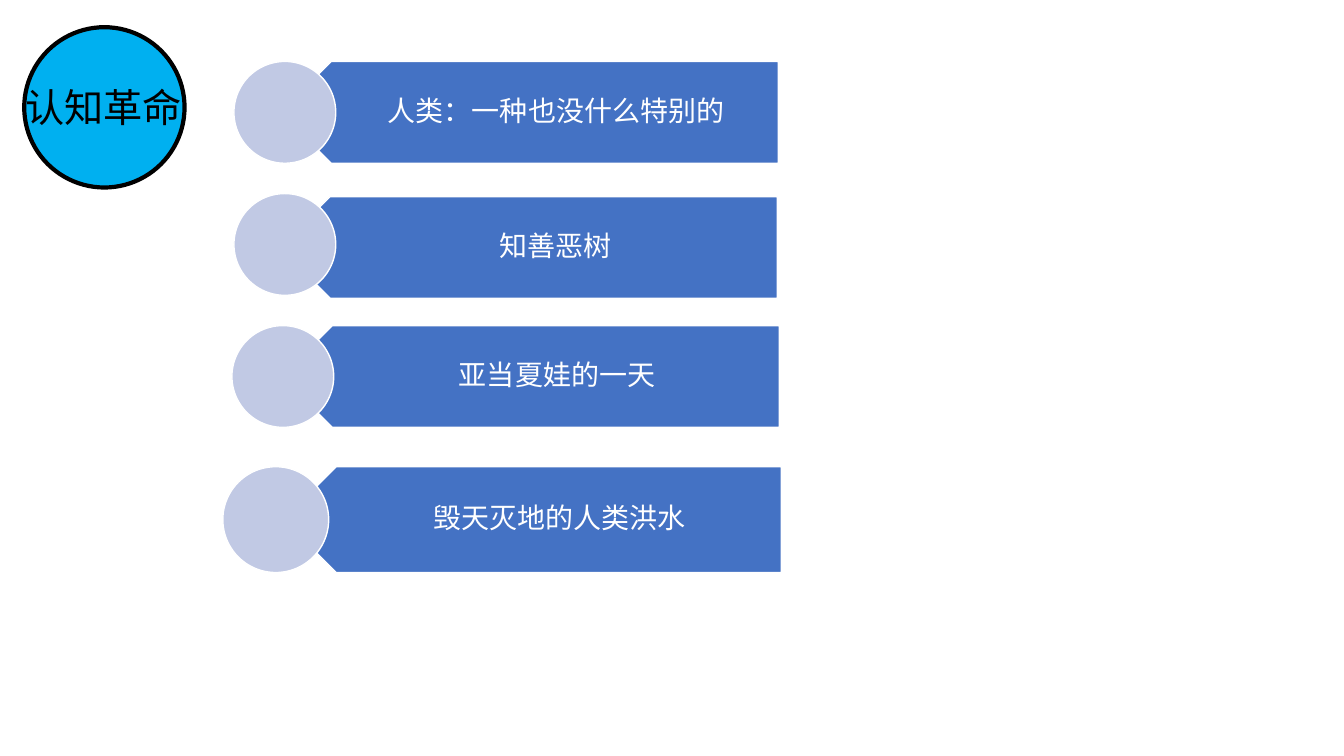
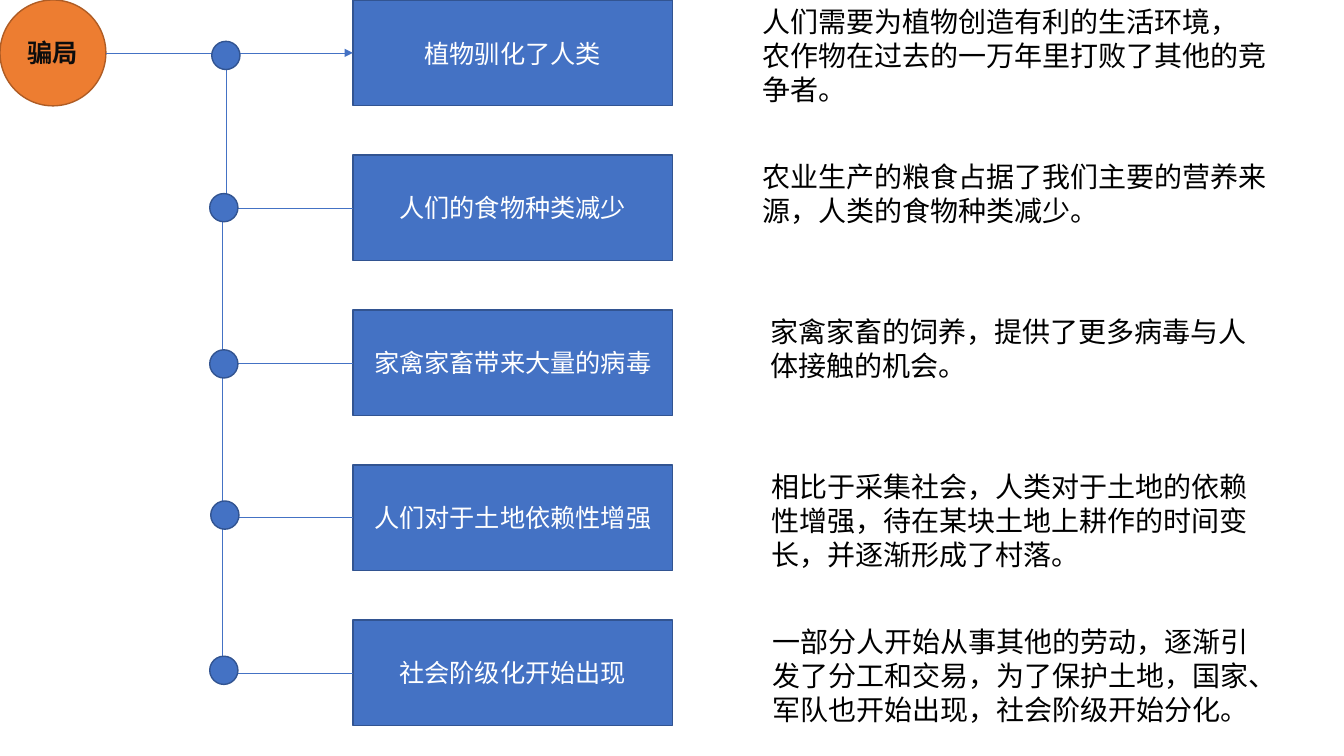
import pptx
import pptx.util
import pptx.dml.color
import pptx.enum.shapes
import pptx.enum.text
import pptx.oxml
import pptx.oxml.ns

Inches = pptx.util.Inches
SHAPE = pptx.enum.shapes.MSO_SHAPE
CONNECTOR = pptx.enum.shapes.MSO_CONNECTOR
ALIGN = pptx.enum.text.PP_ALIGN
ANCHOR = pptx.enum.text.MSO_ANCHOR

FONT = "Noto Sans CJK SC"
BLUE, DARK_BLUE, PALE_BLUE, SKY = "4472C4", "325491", "C1C9E4", "00B0F0"
ORANGE, BROWN = "ED7D31", "AF5C24"
WHITE, BLACK, NEAR_BLACK = "FFFFFF", "000000", "0D0D0D"

CHAPTER = "认知革命"
# label, banner left, banner top, disc left, disc top, height
SECTIONS = [
    ("人类：一种也没什么特别的", 2.78, 0.61, 2.32, 0.61, 1.01),
    ("知善恶树", 2.77, 1.95, 2.32, 1.92, 1.01),
    ("亚当夏娃的一天", 2.79, 3.23, 2.3, 3.23, 1.01),
    ("毁天灭地的人类洪水", 2.81, 4.63, 2.21, 4.63, 1.05),
]
BANNER_WIDTH = 4.94

TOPIC = "骗局"
# label, dot left, dot top, note left, note width, note height, note paragraphs
EFFECTS = [
    ("植物驯化了人类", 2.1, 0.41, 7.46, 5.36, 1.11,
     ["人们需要为植物创造有利的生活环境，", "农作物在过去的一万年里打败了其他的竞争者。"]),
    ("人们的食物种类减少", 2.08, 1.92, 7.46, 5.26, 0.77,
     ["农业生产的粮食占据了我们主要的营养来源，人类的食物种类减少。"]),
    ("家禽家畜带来大量的病毒", 2.08, 3.47, 7.54, 5.17, 0.77,
     ["家禽家畜的饲养，提供了更多病毒与人体接触的机会。"]),
    ("人们对于土地依赖性增强", 2.09, 4.97, 7.55, 5.17, 1.11,
     ["相比于采集社会，人类对于土地的依赖性增强，待在某块土地上耕作的时间变长，并逐渐形成了村落。"]),
    ("社会阶级化开始出现", 2.08, 6.51, 7.56, 5.16, 1.11,
     ["一部分人开始从事其他的劳动，逐渐引发了分工和交易，为了保护土地，国家、军队也开始出现，社会阶级开始分化。"]),
]
BOX_LEFT, BOX_WIDTH, BOX_HEIGHT = 3.5, 3.17, 1.05
ROW_STEP = 6.15 / (len(EFFECTS) - 1)
DOT_SIZE = 0.28


def rgb(value):
    return pptx.dml.color.RGBColor.from_string(value)


def write(frame, lines, size, color, align=ALIGN.LEFT, bold=False):
    frame.text = "\n".join(lines)
    for para in frame.paragraphs:
        para.alignment = align
        font = para.font
        font.size, font.name, font.bold = pptx.util.Pt(size), FONT, bold
        font.color.rgb = rgb(color)
        defaults = para._p.pPr.find(pptx.oxml.ns.qn("a:defRPr"))
        east_asian = pptx.oxml.parse_xml(f'<a:ea {pptx.oxml.ns.nsdecls("a")} typeface="{FONT}"/>')
        defaults.append(east_asian)


def add_shape(page, kind, place, fill, line, width=1):
    shape = page.shapes.add_shape(kind, *map(Inches, place))
    shape.shadow.inherit = False
    shape.fill.solid()
    shape.fill.fore_color.rgb = rgb(fill)
    shape.line.color.rgb = rgb(line)
    shape.line.width = pptx.util.Pt(width)
    return shape


def label_shape(shape, text, color, bold=False):
    shape.text_frame.vertical_anchor = ANCHOR.MIDDLE
    write(shape.text_frame, [text], 18, color, ALIGN.CENTER, bold)


def add_text(page, place, lines, size, color, align=ALIGN.LEFT, wrap=True):
    frame = page.shapes.add_textbox(*map(Inches, place)).text_frame
    frame.word_wrap = wrap
    write(frame, lines, size, color, align)
    return frame


def add_arrow(page, kind, start, end):
    arrow = page.shapes.add_connector(kind, *map(Inches, start + end))
    arrow.line.color.rgb = rgb(BLUE)
    arrow.line.width = pptx.util.Pt(0.5)
    names = pptx.oxml.ns.nsdecls("a")
    arrow.line._get_or_add_ln().append(pptx.oxml.parse_xml(f'<a:tailEnd {names} type="triangle"/>'))
    arrow._element.spPr.append(pptx.oxml.parse_xml(f"<a:effectLst {names}/>"))
    return arrow


def add_elbow(page, left, top, right, bottom):
    elbow = add_arrow(page, CONNECTOR.ELBOW, (left, top), (right, bottom))
    properties = elbow._element.spPr
    properties.find(pptx.oxml.ns.qn("a:prstGeom")).set("prst", "bentConnector2")
    properties.find(pptx.oxml.ns.qn("a:xfrm")).set("rot", "10800000")


def build_chapter(page):
    add_shape(page, SHAPE.OVAL, (0.24, 0.27, 1.59, 1.59), SKY, BLACK, 3)
    add_text(page, (0.14, 0.78, 1.77, 0.57), [CHAPTER], 28, BLACK, ALIGN.CENTER, False)
    for label, left, top, disc_left, disc_top, height in SECTIONS:
        banner = add_shape(page, SHAPE.PENTAGON, (left, top, BANNER_WIDTH, height), BLUE, WHITE)
        banner.rotation = 180
        inset = height / 4
        frame = add_text(page, (left + inset, top, BANNER_WIDTH - inset, height),
                         [label], 20, WHITE, ALIGN.CENTER)
        frame.vertical_anchor = ANCHOR.MIDDLE
        frame.margin_left, frame.margin_right = Inches(0.44), Inches(0.16)
        frame.margin_top = frame.margin_bottom = Inches(0.08)
        frame.paragraphs[0].line_spacing = 0.9
        add_shape(page, SHAPE.OVAL, (disc_left, disc_top, height, height), PALE_BLUE, WHITE)


def build_effects(page):
    topic = add_shape(page, SHAPE.OVAL, (0, 0, BOX_HEIGHT, BOX_HEIGHT), ORANGE, BROWN)
    label_shape(topic, TOPIC, NEAR_BLACK, True)
    middles = [row * ROW_STEP + BOX_HEIGHT / 2 for row in range(len(EFFECTS))]
    boxes = []
    for (label, *_), middle in zip(EFFECTS, middles):
        place = (BOX_LEFT, middle - BOX_HEIGHT / 2, BOX_WIDTH, BOX_HEIGHT)
        box = add_shape(page, SHAPE.RECTANGLE, place, BLUE, DARK_BLUE)
        label_shape(box, label, WHITE)
        boxes.append(box)
    arrow = add_arrow(page, CONNECTOR.STRAIGHT, (BOX_HEIGHT, middles[0]), (BOX_LEFT, middles[0]))
    arrow.end_connect(boxes[0], 1)
    for row in range(1, len(EFFECTS)):
        left = 2.24 if row == 1 else 2.21
        add_elbow(page, left, middles[row - 1], BOX_LEFT, middles[row])
    for row, (_, dot_left, dot_top, left, width, height, lines) in enumerate(EFFECTS):
        add_shape(page, SHAPE.OVAL, (dot_left, dot_top, DOT_SIZE, DOT_SIZE), BLUE, DARK_BLUE)
        add_text(page, (left, row * ROW_STEP, width, height), lines, 20, BLACK)


def main():
    deck = pptx.Presentation()
    deck.slide_width, deck.slide_height = Inches(13.33), Inches(7.5)
    for build in (build_chapter, build_effects):
        build(deck.slides.add_slide(deck.slide_layouts[6]))
    deck.save("out.pptx")


if __name__ == "__main__":
    main()
